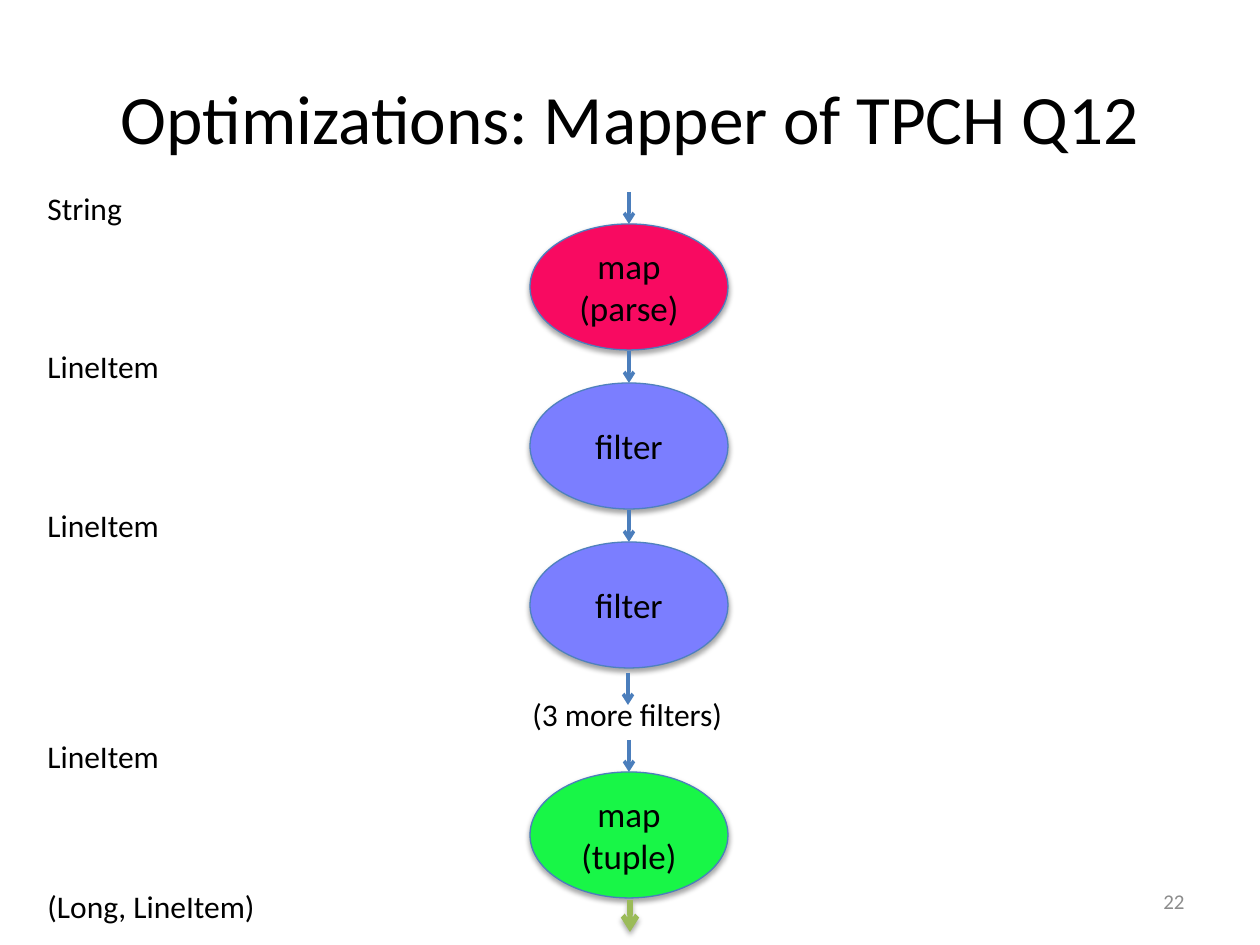
"""Build the slide on the mapper pipeline of TPCH Q12."""
from lxml import etree
from pptx import Presentation, util as u
from pptx.dml.color import RGBColor
from pptx.enum import shapes, text
from pptx.oxml import ns

SCALE = 914400 // 126
COLORS = {
    "text": "000000", "number": "8C8C8C", "arrow": "4B7EBC", "exit": "9BBB59",
    "parse": "F80A61", "filter": "7B7EFF", "tuple": "18F647", "filter_line": "4F81BD",
}
CENTER, LEFT, RIGHT = text.PP_ALIGN.CENTER, text.PP_ALIGN.LEFT, text.PP_ALIGN.RIGHT
MIDDLE, TOP = text.MSO_ANCHOR.MIDDLE, text.MSO_ANCHOR.TOP


def px(*lengths):
    return [u.Emu(length * SCALE) for length in lengths]


def color(name):
    return RGBColor.from_string(COLORS[name])


def set_all(target, values):
    for name, value in values.items():
        setattr(target, name, value)


def add_shadow(effects):
    shadow = etree.SubElement(
        effects, ns.qn("a:outerShdw"), blurRad=str(u.Pt(3.1)), dist=str(u.Pt(1.8)),
        dir="5400000", rotWithShape="0")
    tint = etree.SubElement(shadow, ns.qn("a:srgbClr"), val=COLORS["text"])
    etree.SubElement(tint, ns.qn("a:alpha"), val="35000")


class Diagram:
    def __init__(self, slide, font="Calibri"):
        self.slide = slide
        self.font = font

    def set_text(self, shape, words, size, align=LEFT, anchor=TOP, ink="text", wrap=True):
        frame = shape.text_frame
        frame.text = words
        set_all(frame, {"word_wrap": wrap, "vertical_anchor": anchor,
                        "auto_size": text.MSO_AUTO_SIZE.NONE})
        paragraph = frame.paragraphs[0]
        paragraph.alignment = align
        set_all(paragraph.font, {"name": self.font, "size": u.Pt(size)})
        paragraph.font.color.rgb = color(ink)

    def title(self, words, left, top, width, height):
        shape = self.slide.shapes.title
        set_all(shape, dict(zip(("left", "top", "width", "height"),
                                px(left, top, width, height))))
        self.set_text(shape, words, 39.6, CENTER, MIDDLE)

    def label(self, words, left, top, width, height=50, size=18, **style):
        box = self.slide.shapes.add_textbox(*px(left, top, width, height))
        self.set_text(box, words, size, **style)

    def step(self, words, top, fill, line="arrow"):
        shape = self.slide.shapes.add_shape(shapes.MSO_SHAPE.OVAL, *px(530, top, 198, 126))
        shape.fill.solid()
        shape.fill.fore_color.rgb = color(fill)
        shape.line.color.rgb = color(line)
        shape.line.width = u.Pt(0.75)
        shape.shadow.inherit = False
        add_shadow(shape._element.spPr.find(ns.qn("a:effectLst")))
        self.set_text(shape, words, 20, CENTER, MIDDLE)
        return shape

    def arrow(self, x, top, length=32, ink="arrow", width=2, shadow=False, target=None):
        connector = self.slide.shapes.add_connector(
            shapes.MSO_CONNECTOR.STRAIGHT, *px(x, top, x, top + length))
        if target is not None:
            connector.end_connect(target, 0)
        connector.line.color.rgb = color(ink)
        connector.line.width = u.Pt(width)
        properties = connector._element.spPr
        etree.SubElement(properties.find(ns.qn("a:ln")), ns.qn("a:tailEnd"), type="arrow")
        effects = etree.SubElement(properties, ns.qn("a:effectLst"))
        if shadow:
            add_shadow(effects)


def main():
    presentation = Presentation()
    presentation.slide_width, presentation.slide_height = px(1260, 945)
    slide = presentation.slides.add_slide(presentation.slide_layouts[5])
    diagram = Diagram(slide)

    diagram.title("Optimizations: Mapper of TPCH Q12", 63, 38, 1134, 157)
    diagram.label("22", 903, 876, 294, size=12, align=RIGHT, anchor=MIDDLE, ink="number")

    steps = [
        ("map (parse)", 224, "parse", "arrow"),
        ("filter", 383, "filter", "filter_line"),
        ("filter", 542, "filter", "filter_line"),
        ("map (tuple)", 772, "tuple", "arrow"),
    ]
    for words, top, fill, line in steps:
        shape = diagram.step(words, top, fill, line)
        diagram.arrow(629, top - 32, target=shape)
    diagram.arrow(628, 673)
    diagram.arrow(630, 900, ink="exit", width=3, shadow=True)

    diagram.label("(3 more filters)", 520, 689, 218, wrap=False)
    types = [("String", 183, 101), ("LineItem", 341, 139), ("LineItem", 500, 139),
             ("LineItem", 731, 139), ("(Long, LineItem)", 881, 236)]
    for words, top, width in types:
        diagram.label(words, 35, top, width, wrap=False)

    presentation.save("out.pptx")


if __name__ == "__main__":
    main()
